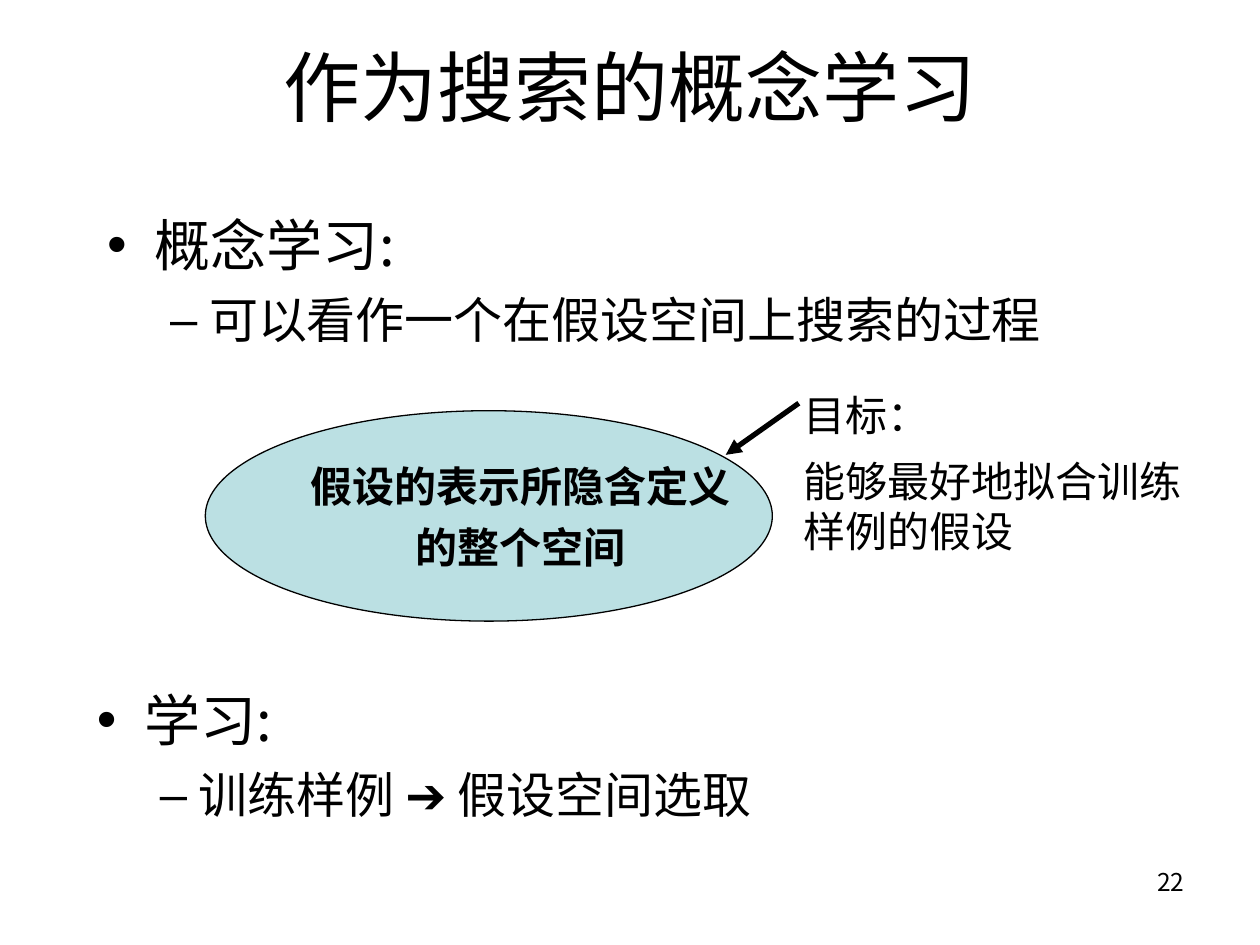
from lxml.etree import SubElement
from pptx import Presentation
from pptx.dml.color import RGBColor
from pptx.enum.shapes import MSO_CONNECTOR, MSO_SHAPE
from pptx.enum.text import MSO_ANCHOR, MSO_AUTO_SIZE, PP_ALIGN
from pptx.oxml.ns import qn
from pptx.util import Inches, Pt

COLORS = {"ink": "000000", "space": "BBE0E3"}
FONT = "Noto Sans CJK SC"
# bullet, left margin, size, space before
LEVELS = [("•", 0.38, 32, 0), ("–", 0.81, 28, 7)]
HANGING = [0.38, 0.31]


def color(name):
    return RGBColor.from_string(COLORS[name])


def add_span(para, text, size, font=FONT, bold=False):
    span = para.add_run()
    span.text = text
    span.font.name = font
    span.font.size = Pt(size)
    span.font.bold = bold
    span.font.color.rgb = color("ink")
    SubElement(span.font._element, qn("a:ea"), typeface=font)


def next_para(frame, index, space_before=0, align=PP_ALIGN.LEFT):
    para = frame.add_paragraph() if index else frame.paragraphs[0]
    para.alignment = align
    para.space_before = Pt(space_before if index else 0)
    return para


def place(shape, box):
    shape.left, shape.top, shape.width, shape.height = map(Inches, box)
    shape.text_frame.word_wrap = True
    shape.text_frame.auto_size = MSO_AUTO_SIZE.NONE
    return shape.text_frame


def add_text_box(page, box):
    return place(page.shapes.add_textbox(0, 0, 0, 0), box)


def set_bullet(para, level):
    bullet, margin, _, _ = LEVELS[level]
    para.level = level
    props = para._p.get_or_add_pPr()
    props.set("marL", str(Inches(margin)))
    props.set("indent", str(-Inches(HANGING[level])))
    tint = SubElement(props, qn("a:buClr"))
    SubElement(tint, qn("a:srgbClr"), val=COLORS["ink"])
    SubElement(props, qn("a:buFont"), typeface="Arial")
    SubElement(props, qn("a:buChar"), char=bullet)


def fill_title(page, box, text):
    frame = place(page.shapes.title, box)
    frame.vertical_anchor = MSO_ANCHOR.BOTTOM
    add_span(next_para(frame, 0, align=PP_ALIGN.CENTER), text, 44)


def fill_list(frame, items):
    """Write a heading and its sub-item, each a list of (text, font) spans."""
    for level, spans in enumerate(items):
        _, _, size, space_before = LEVELS[level]
        para = next_para(frame, level, space_before)
        set_bullet(para, level)
        for text, font in spans:
            add_span(para, text, size, font)


def add_hypothesis_space(page, box, lines):
    ellipse = page.shapes.add_shape(MSO_SHAPE.OVAL, 0, 0, 0, 0)
    ellipse.shadow.inherit = False
    ellipse.fill.solid()
    ellipse.fill.fore_color.rgb = color("space")
    ellipse.line.color.rgb = color("ink")
    ellipse.line.width = Pt(0.75)
    frame = place(ellipse, box)
    frame.word_wrap = False
    frame.vertical_anchor = MSO_ANCHOR.MIDDLE
    for index, line in enumerate(lines):
        para = next_para(frame, index, 6, PP_ALIGN.CENTER)
        para._p.get_or_add_pPr().set("marL", str(Inches(0.5)))
        add_span(para, line, 24, bold=True)


def add_arrow(page, start, end):
    ends = map(Inches, (*start, *end))
    arrow = page.shapes.add_connector(MSO_CONNECTOR.STRAIGHT, *ends)
    arrow.line.color.rgb = color("ink")
    arrow.line.width = Pt(3)
    SubElement(arrow.line._get_or_add_ln(), qn("a:tailEnd"), type="triangle")
    SubElement(arrow._element.spPr, qn("a:effectLst"))


def add_goal(page, box, lines):
    frame = add_text_box(page, box)
    for index, line in enumerate(lines):
        add_span(next_para(frame, index, 9), line, 24)


def add_page_number(page, box, number):
    frame = add_text_box(page, box)
    add_span(next_para(frame, 0, align=PP_ALIGN.RIGHT), number, 14)


def main():
    deck = Presentation()
    deck.slide_width, deck.slide_height = Inches(10), Inches(7.5)
    page = deck.slides.add_slide(deck.slide_layouts[1])
    fill_title(page, (0.63, 0.52, 8.75, 0.58), "作为搜索的概念学习")
    fill_list(place(page.placeholders[1], (0.75, 1.62, 8.5, 1.33)),
              [[("概念学习:", FONT)],
               [("可以看作一个在假设空间上搜索的过程", FONT)]])
    fill_list(add_text_box(page, (0.67, 5.39, 9.33, 1.67)),
              [[("学习:", FONT)],
               [("训练样例 ", FONT), ("➔", "Arial"), (" 假设空间选取", FONT)]])
    add_hypothesis_space(page, (1.63, 3.26, 4.5, 1.67),
                         ["假设的表示所隐含定义", "的整个空间"])
    add_arrow(page, (6.34, 3.2), (5.76, 3.61))
    add_goal(page, (6.28, 3.04, 3.28, 1.43),
             ["目标：", "能够最好地拟合训练样例的假设"])
    add_page_number(page, (7.17, 6.83, 2.33, 0.52), "22")
    deck.save("out.pptx")


if __name__ == "__main__":
    main()
